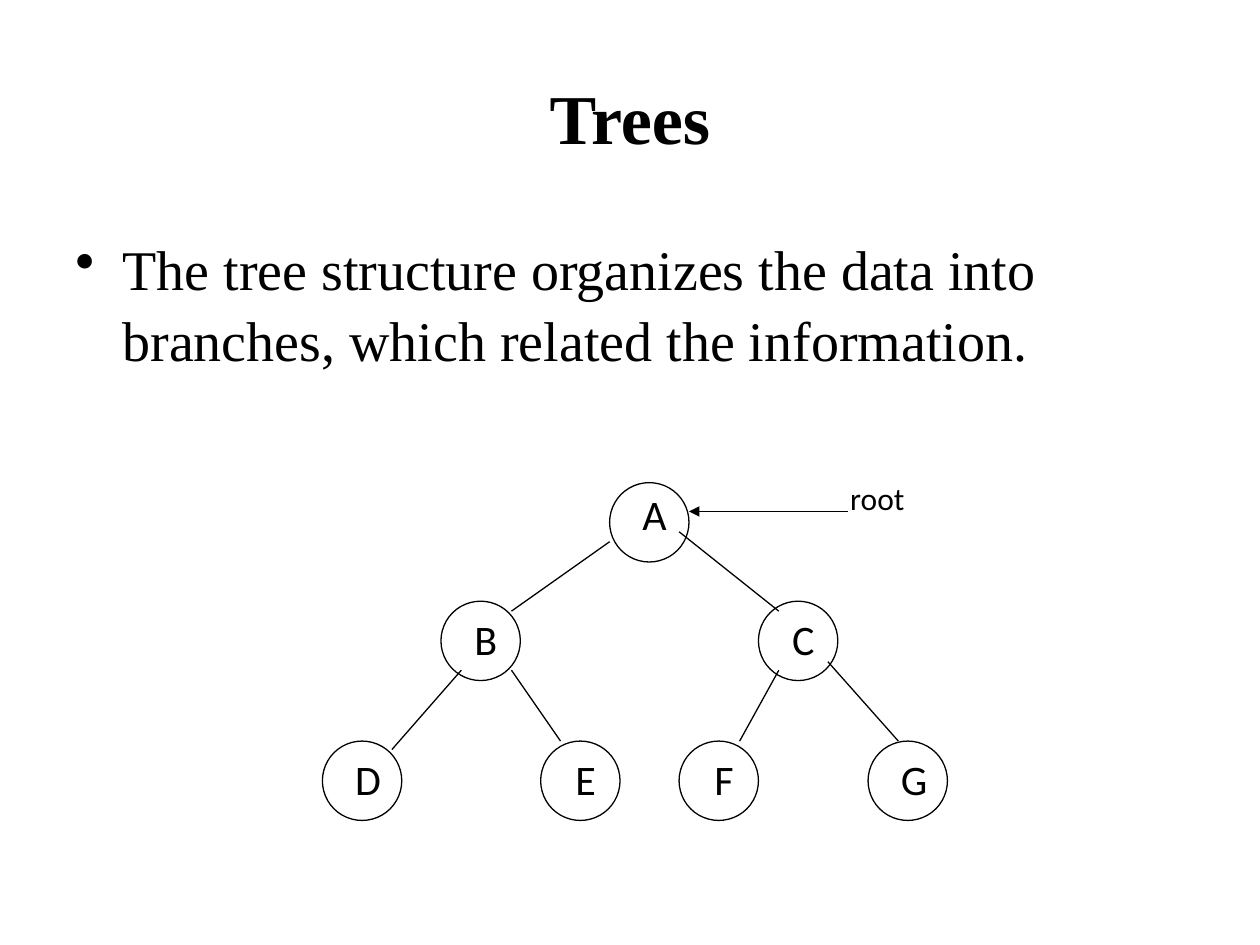
"""Build the slide that introduces trees with a seven-node binary tree."""
from lxml import etree
from pptx import Presentation
from pptx import util as u
from pptx.dml.color import RGBColor
from pptx.enum import shapes, text
from pptx.oxml.ns import qn

BLACK, WHITE = "000000", "FFFFFF"
SERIF, SANS = "Times New Roman", "Calibri"
TITLE = "Trees"
BODY = "The tree structure organizes the data into branches, which related the information."
DIAMETER = 1.6
LABEL_DX, LABEL_DY = 0.41, 0.13
LABEL_SIZE = (0.99, 1.27)
LEVELS = [
    (9.73, [("A", 12.29)]),
    (12.12, [("B", 8.89), ("C", 15.29)]),
    (14.94, [("D", 6.5), ("E", 10.9), ("F", 13.69), ("G", 17.5)]),
]
BRANCHES = [
    ((12.29, 10.92), (10.31, 12.32)),
    ((13.69, 10.72), (15.7, 12.32)),
    ((9.3, 13.51), (7.9, 15.11)),
    ((10.31, 13.51), (11.3, 14.94)),
    ((15.7, 13.51), (14.91, 14.94)),
    ((16.69, 13.34), (18.11, 14.94)),
]
ROOT_ARROW = ((17.09, 10.31), (13.89, 10.31))


def color(value):
    return RGBColor.from_string(value)


def add_text(s, words, box, size, name=SANS, bold=False, wrap=True,
             align=text.PP_ALIGN.CENTER, anchor=text.MSO_ANCHOR.TOP):
    tf = s.shapes.add_textbox(*map(u.Cm, box)).text_frame
    tf.word_wrap = wrap
    tf.vertical_anchor = anchor
    p = tf.paragraphs[0]
    p.text = words
    p.alignment = align
    p.font.size, p.font.name, p.font.bold = u.Pt(size), name, bold
    p.font.color.rgb = color(BLACK)
    return tf


def add_body(s):
    tf = add_text(s, BODY, (1.27, 4.45, 22.86, 12.57), 32, SERIF,
                  align=text.PP_ALIGN.LEFT)
    tf.margin_top = u.Cm(0.22)
    p = tf.paragraphs[0]
    p.line_spacing = 1.05
    pPr = p._p.get_or_add_pPr()
    pPr.set("marL", str(u.Cm(0.95)))
    pPr.set("indent", str(u.Cm(-0.95)))
    bullet = etree.Element(qn("a:buChar"), char="•")
    pPr.find(qn("a:defRPr")).addprevious(bullet)


def add_node(s, name, x, y, label_dy):
    sp = s.shapes.add_shape(shapes.MSO_SHAPE.OVAL,
                            *map(u.Cm, (x, y, DIAMETER, DIAMETER)))
    sp.shadow.inherit = False
    sp.fill.solid()
    sp.fill.fore_color.rgb = color(WHITE)
    sp.line.color.rgb = color(BLACK)
    sp.line.width = u.Pt(0.75)
    add_text(s, name, (x + LABEL_DX, y + label_dy, *LABEL_SIZE), 24, wrap=False)


def add_line(s, start, end, arrow=False):
    line = s.shapes.add_connector(shapes.MSO_CONNECTOR.STRAIGHT,
                                  *map(u.Cm, start + end))
    line.line.color.rgb = color(BLACK)
    line.line.width = u.Pt(0.75)
    if arrow:
        etree.SubElement(line.line._get_or_add_ln(), qn("a:tailEnd"), type="triangle")
    etree.SubElement(line._element.spPr, qn("a:effectLst"))


def main():
    prs = Presentation()
    prs.slide_width, prs.slide_height = u.Cm(25.4), u.Cm(19.05)
    s = prs.slides.add_slide(prs.slide_layouts[6])
    add_text(s, TITLE, (1.27, 0.76, 22.86, 3.18), 40, SERIF, bold=True,
             anchor=text.MSO_ANCHOR.MIDDLE)
    add_body(s)
    for depth, (y, nodes) in enumerate(LEVELS):
        for name, x in nodes:
            add_node(s, name, x, y, LABEL_DY if depth else 0)
    for start, end in BRANCHES:
        add_line(s, start, end)
    add_line(s, *ROOT_ARROW, arrow=True)
    add_text(s, "root", (16.89, 9.53, 2.79, 1.45), 18, align=text.PP_ALIGN.LEFT)
    prs.save("out.pptx")


if __name__ == "__main__":
    main()
